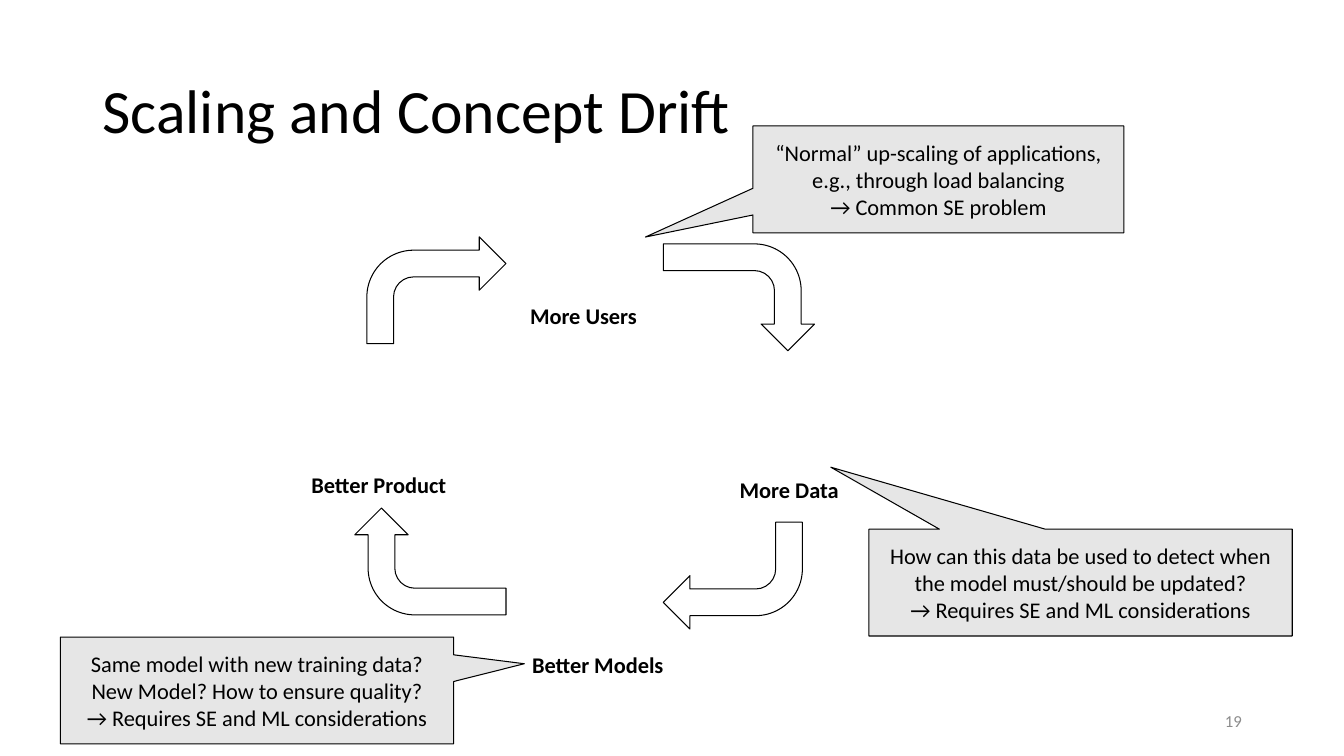
from dataclasses import dataclass

from pptx import Presentation
from pptx import util as u
from pptx.dml.color import RGBColor
from pptx.enum import shapes, text


@dataclass(frozen=True)
class Theme:
    font: str = "Calibri"
    ink: str = "000000"
    panel: str = "E6E6E6"
    muted: str = "8C8C8C"
    title: int = 44
    body: int = 16
    small: int = 12
    line: float = 0.75


COLUMNS, ROWS = 80, 45
BAND = 6.36
LABEL_HEIGHT = 2.22

ARROWS = [
    (21.84, 14.1, 8.28, BAND, 0),
    (40.8, 13.2, BAND, 9, 90),
    (39.48, 31.08, 8.28, BAND, 180),
    (22.44, 28.92, BAND, 9, 270),
]
LABELS = [
    ("More Users", 30.96, 17.7, 7.68),
    ("More Data", 43.44, 28.02, 7.2),
    ("Better Models", 31.08, 38.46, 9.18),
    ("Better Product", 17.94, 27.78, 9.36),
]
CALLOUTS = [
    (["How can this data be used to detect when the model must/should be updated?",
      "→ Requires SE and ML considerations"], (51.72, 31.5, 25.2, BAND), (-0.59, -1.08)),
    (["“Normal” up-scaling of applications, e.g., through load balancing",
      "→ Common SE problem"], (44.82, 7.5, 22.08, BAND), (-0.79, 0.54)),
    (["Same model with new training data? New Model? How to ensure quality?",
      "→ Requires SE and ML considerations"], (3.6, 37.92, 23.4, BAND), (0.68, -0.25)),
]


def write(frame, lines, *, theme, size, color, bold=False, wrap=True, spacing=None,
          align=text.PP_ALIGN.LEFT, anchor=text.MSO_ANCHOR.MIDDLE,
          fit=text.MSO_AUTO_SIZE.NONE):
    frame.word_wrap = wrap
    frame.auto_size = fit
    frame.vertical_anchor = anchor
    for index, line in enumerate(lines):
        para = frame.paragraphs[0] if index == 0 else frame.add_paragraph()
        para.alignment = align
        if spacing:
            para.line_spacing = spacing
        span = para.add_run()
        span.text = line
        span.font.name = theme.font
        span.font.size = u.Pt(size)
        span.font.bold = bold
        span.font.color.rgb = RGBColor.from_string(color)


class Page:
    def __init__(self, deck, theme):
        self.theme = theme
        self.column = deck.slide_width / COLUMNS
        self.row = deck.slide_height / ROWS
        self.slide = deck.slides.add_slide(deck.slide_layouts[5])

    def place(self, left, top, width, height):
        return (round(left * self.column), round(top * self.row),
                round(width * self.column), round(height * self.row))

    def title(self, wording, area):
        box = self.slide.shapes.title
        box.left, box.top, box.width, box.height = self.place(*area)
        write(box.text_frame, [wording], theme=self.theme, size=self.theme.title,
              color=self.theme.ink, spacing=0.9)

    def shape(self, kind, area, fill=None):
        shape = self.slide.shapes.add_shape(kind, *self.place(*area))
        shape.shadow.inherit = False
        if fill:
            shape.fill.solid()
            shape.fill.fore_color.rgb = RGBColor.from_string(fill)
        else:
            shape.fill.background()
        shape.line.color.rgb = RGBColor.from_string(self.theme.ink)
        shape.line.width = u.Pt(self.theme.line)
        return shape

    def arrow(self, area, turn):
        self.shape(shapes.MSO_SHAPE.BENT_ARROW, area).rotation = turn

    def callout(self, lines, area, tip):
        box = self.shape(shapes.MSO_SHAPE.RECTANGULAR_CALLOUT, area, self.theme.panel)
        box.adjustments[0], box.adjustments[1] = tip
        write(box.text_frame, lines, theme=self.theme, size=self.theme.body,
              color=self.theme.ink, align=text.PP_ALIGN.CENTER)

    def text_box(self, wording, area, **style):
        box = self.slide.shapes.add_textbox(*self.place(*area))
        write(box.text_frame, [wording], theme=self.theme, **style)

    def label(self, wording, area):
        self.text_box(wording, area, size=self.theme.body, color=self.theme.ink,
                      bold=True, wrap=False, anchor=text.MSO_ANCHOR.TOP,
                      fit=text.MSO_AUTO_SIZE.SHAPE_TO_FIT_TEXT)

    def number(self, wording, area):
        self.text_box(wording, area, size=self.theme.small, color=self.theme.muted,
                      align=text.PP_ALIGN.RIGHT)


def main():
    deck = Presentation()
    deck.slide_width, deck.slide_height = u.Inches(13.33), u.Inches(7.5)
    page = Page(deck, Theme())
    page.title("Scaling and Concept Drift", (5.5, 2.4, 69, 8.7))
    for *area, turn in ARROWS:
        page.arrow(area, turn)
    for wording, left, top, width in LABELS:
        page.label(wording, (left, top, width, LABEL_HEIGHT))
    for lines, area, tip in CALLOUTS:
        page.callout(lines, area, tip)
    page.number("19", (56.52, 41.7, 18, 2.4))
    deck.save("out.pptx")


if __name__ == "__main__":
    main()
